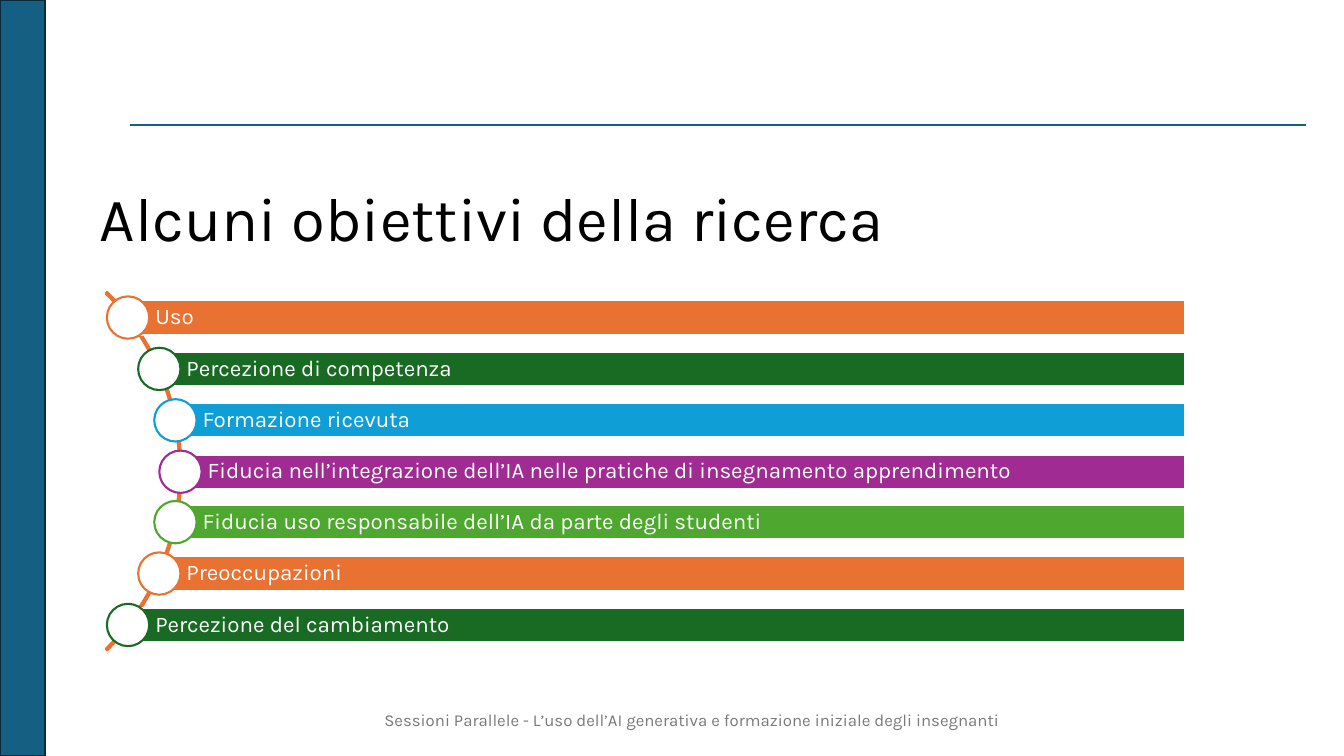
from math import sqrt

from lxml import etree
from pptx import Presentation
from pptx.dml.color import RGBColor
from pptx.enum.shapes import MSO_CONNECTOR, MSO_SHAPE as Shape
from pptx.enum.text import MSO_ANCHOR as Anchor, MSO_AUTO_SIZE as AutoSize, PP_ALIGN as Align
from pptx.oxml.ns import qn
from pptx.util import Emu, Pt

COLORS = {
    "white": "FFFFFF",
    "black": "000000",
    "grey": "797979",
    "teal": "156082",
    "navy": "092A39",
    "orange": "E97132",
    "dark_green": "196B24",
    "blue": "0F9ED5",
    "purple": "A02B93",
    "green": "4EA72E",
}
GOALS = [
    ("Uso", "orange"),
    ("Percezione di competenza", "dark_green"),
    ("Formazione ricevuta", "blue"),
    ("Fiducia nell’integrazione dell’IA nelle pratiche di insegnamento apprendimento", "purple"),
    ("Fiducia uso responsabile dell’IA da parte degli studenti", "green"),
    ("Preoccupazioni", "orange"),
    ("Percezione del cambiamento", "dark_green"),
]
ARC_X, ARC_Y, ARC_RADIUS = -72, 467.6, 251
GOAL_PITCH = 50.8
BAR_RIGHT, BAR_HEIGHT, CIRCLE_SIZE = 1175, 34, 42


def px(length):
    return Emu(length * 9144)


def color(name):
    return RGBColor.from_string(COLORS[name])


class SlideBuilder:
    font_name = "Karla"
    line_width = Pt(1.5)

    def __init__(self, presentation):
        self.slide = presentation.slides.add_slide(presentation.slide_layouts[5])

    def set_text(self, shape, text, size, ink, align=Align.LEFT, line_spacing=None, insets=(10, 5, 10, 5)):
        frame = shape.text_frame
        frame.word_wrap = True
        frame.auto_size = AutoSize.NONE
        frame.vertical_anchor = Anchor.MIDDLE
        frame.margin_left, frame.margin_top, frame.margin_right, frame.margin_bottom = map(px, insets)
        frame.text = text
        paragraph = frame.paragraphs[0]
        paragraph.alignment = align
        paragraph.line_spacing = line_spacing
        paragraph.font.name = self.font_name
        paragraph.font.size = Pt(size)
        paragraph.font.color.rgb = color(ink)

    def title(self, box, text):
        title = self.slide.shapes.title
        title.left, title.top, title.width, title.height = map(px, box)
        self.set_text(title, text, 44, "black", line_spacing=0.9)

    def text(self, box, text, size, ink, align):
        self.set_text(self.slide.shapes.add_textbox(*map(px, box)), text, size, ink, align)

    def shape(self, kind, box, fill, outline):
        shape = self.slide.shapes.add_shape(kind, *map(px, box))
        shape.shadow.inherit = False
        if fill:
            shape.fill.solid()
            shape.fill.fore_color.rgb = color(fill)
        else:
            shape.fill.background()
        shape.line.color.rgb = color(outline)
        shape.line.width = self.line_width
        return shape

    def line(self, start, end, ink):
        line = self.slide.shapes.add_connector(MSO_CONNECTOR.STRAIGHT, *map(px, start + end))
        line.line.color.rgb = color(ink)
        line.line.width = self.line_width
        etree.SubElement(line._element.spPr, qn("a:effectLst"))

    def arc(self, box, ink):
        arc = self.shape(Shape.BLOCK_ARC, box, None, ink)
        for index, value in enumerate((189, 27, 0.0043)):
            arc.adjustments[index] = value

    def goal(self, x, y, text, ink):
        bar_box = (x, y - BAR_HEIGHT // 2, BAR_RIGHT - x, BAR_HEIGHT)
        bar = self.shape(Shape.RECTANGLE, bar_box, ink, "white")
        self.set_text(bar, text, 16, "white", line_spacing=0.9, insets=(27, 4, 4, 4))
        radius = CIRCLE_SIZE // 2
        self.shape(Shape.OVAL, (x - radius, y - radius, CIRCLE_SIZE, CIRCLE_SIZE), "white", ink)


def main():
    presentation = Presentation()
    presentation.slide_width, presentation.slide_height = px(1333), px(750)
    builder = SlideBuilder(presentation)
    builder.text((345, 694, 683, 40),
                 "Sessioni Parallele - L’uso dell’AI generativa e formazione iniziale degli insegnanti",
                 12, "grey", Align.CENTER)
    builder.line((129, 124), (1295, 124), "teal")
    builder.shape(Shape.RECTANGLE, (0, 0, 45, 750), "teal", "navy")
    builder.title((89, 159, 939, 122), "Alcuni obiettivi della ricerca")
    builder.arc((-323, 216, 503, 503), "orange")
    for index, (text, ink) in enumerate(GOALS):
        offset = (index - len(GOALS) // 2) * GOAL_PITCH
        x = ARC_X + sqrt(ARC_RADIUS ** 2 - offset ** 2)
        builder.goal(round(x), round(ARC_Y + offset), text, ink)
    presentation.save("out.pptx")


if __name__ == "__main__":
    main()
